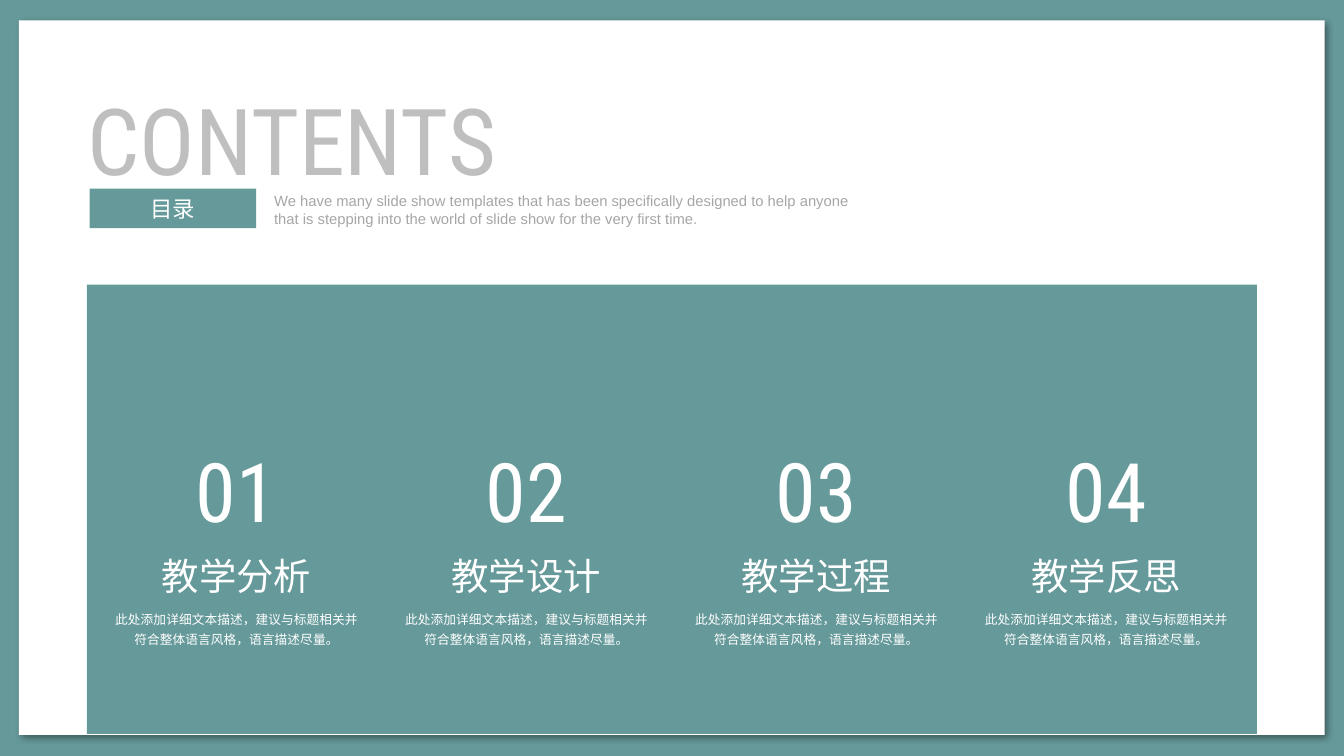
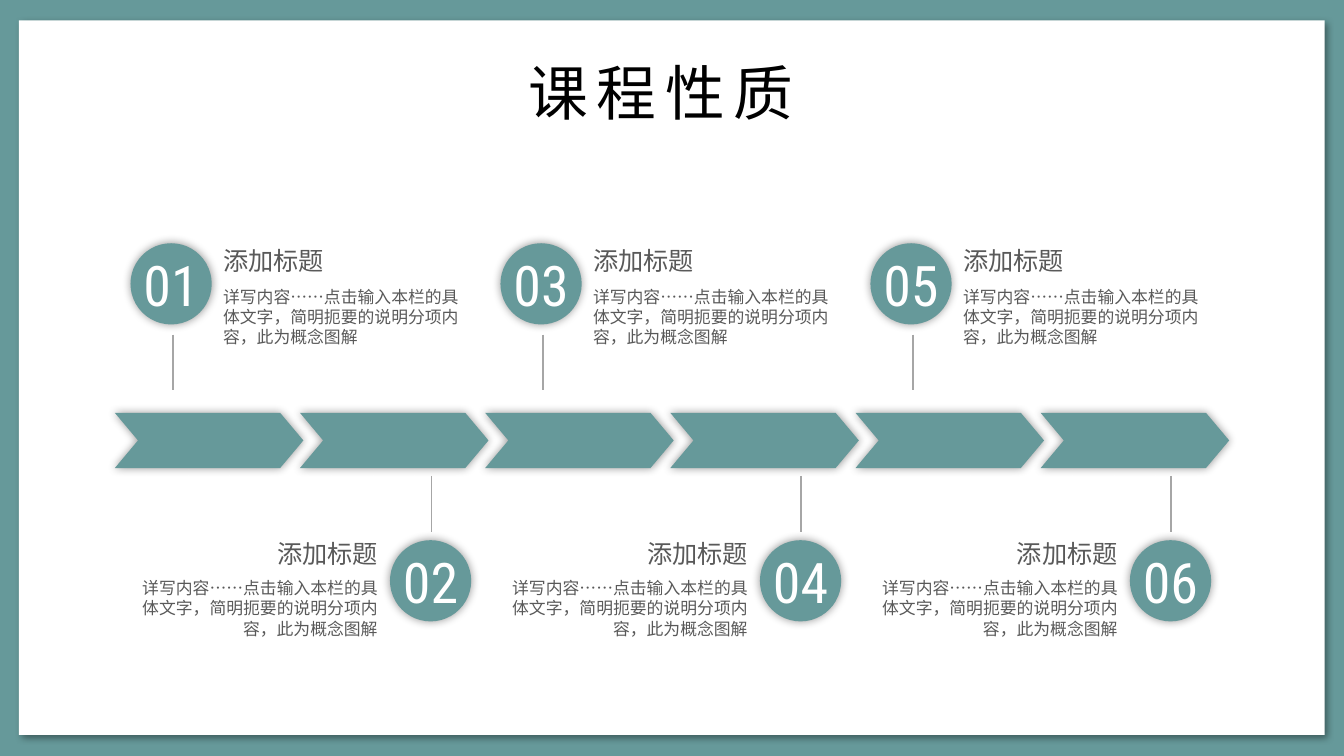
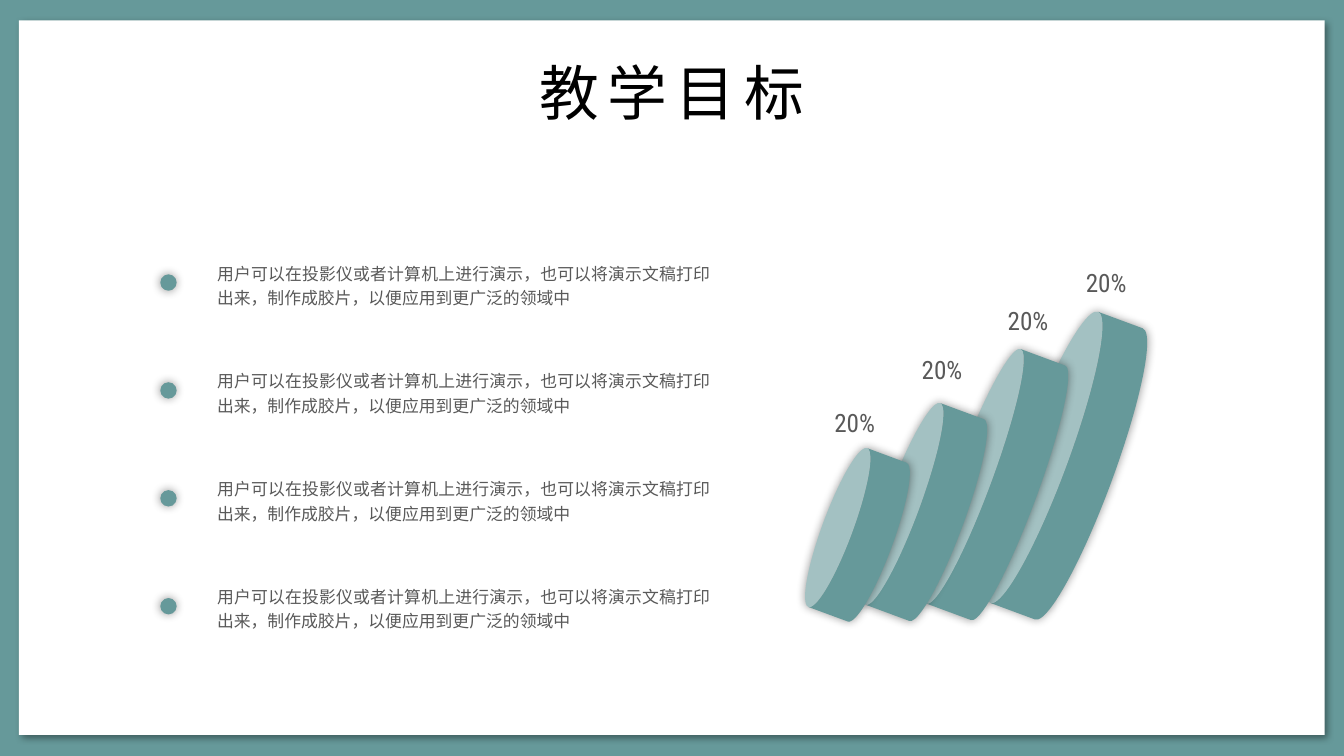
"""Build three teaching slides: contents, course timeline and teaching goals."""
from dataclasses import dataclass
from typing import Any

import lxml.etree
import pptx
import pptx.dml.color
import pptx.enum.shapes
import pptx.enum.text
import pptx.oxml.ns
import pptx.util

Pt = pptx.util.Pt
qn = pptx.oxml.ns.qn
SHAPE = pptx.enum.shapes.MSO_SHAPE
ALIGN = pptx.enum.text.PP_ALIGN
ANCHOR = pptx.enum.text.MSO_ANCHOR
AUTO = pptx.enum.text.MSO_AUTO_SIZE

COLORS = {
    "teal": "66999A",
    "white": "FFFFFF",
    "black": "000000",
    "text": "595959",
    "muted": "A6A6A6",
    "pale": "BFBFBF",
}
CJK = "Noto Sans CJK SC"
ROBOTO = "Roboto Condensed"
DEFAULT_INSETS = (7.2, 3.6, 7.2, 3.6)
NO_INSETS = (0, 0, 0, 0)


@dataclass(frozen=True)
class Box:
    """A place on the slide, in points."""
    left: float
    top: float
    width: float
    height: float

    def emu(self) -> tuple:
        return Pt(self.left), Pt(self.top), Pt(self.width), Pt(self.height)


@dataclass(frozen=True)
class Shadow:
    """An outer shadow with lengths in points and angle in degrees."""
    blur: float
    distance: float
    angle: float


@dataclass(frozen=True)
class Side:
    """The layout of the timeline notes on one side of the arrows."""
    first: int
    circle: tuple[float, float]
    text_left: float
    heading_top: float
    body_top: float
    line_x: float
    line_top: float
    align: Any


@dataclass(frozen=True)
class Disc:
    """A tilted can and the position of its percentage."""
    box: Box
    depth: float
    label_left: float
    label_top: float


GLOW = Shadow(5, 0, 0)
DROP = Shadow(4, 3, 45)

SECTIONS = ["教学分析", "教学设计", "教学过程", "教学反思"]
SECTION_NOTE = "此处添加详细文本描述，建议与标题相关并符合整体语言风格，语言描述尽量。"
BLURB = ("We have many slide show templates that has been specifically designed to help "
         "anyone that is stepping into the world of slide show for the very first time.")
STEP_NOTE = "详写内容……点击输入本栏的具体文字，简明扼要的说明分项内容，此为概念图解"
GOAL = "用户可以在投影仪或者计算机上进行演示，也可以将演示文稿打印出来，制作成胶片，以便应用到更广泛的领域中"

SIDES = [
    Side(1, (69.9, 130.3), 119.5, 128.2, 153.4, 92.8, 179.3, ALIGN.LEFT),
    Side(2, (208.9, 289.4), 71.2, 285.1, 309.6, 231, 255, ALIGN.RIGHT),
]
DISCS = [
    Disc(Box(488.2, 223.9, 166.3, 51.1), 0.5, 574.6, 139.7),
    Disc(Box(460.8, 236.9, 145.4, 45.4), 0.44, 532.8, 159.8),
    Disc(Box(437.8, 252.7, 115.2, 43.2), 0.42, 486.7, 186.5),
    Disc(Box(414, 267.1, 90.7, 38.9), 0.42, 439.9, 214.6),
]


def rgb(name: str) -> Any:
    """Return the named colour."""
    return pptx.dml.color.RGBColor.from_string(COLORS[name])


def write(tf: Any, text: str, *, size: float, font: str = CJK, color: str = "text",
          align: Any = ALIGN.LEFT, anchor: Any = ANCHOR.TOP, insets: tuple = DEFAULT_INSETS,
          wrap: bool = True, grow: bool = False, leading: float | None = None,
          tracking: float = 0) -> None:
    """Write one formatted paragraph into a text frame."""
    tf.auto_size = AUTO.SHAPE_TO_FIT_TEXT if grow else AUTO.NONE
    tf.word_wrap = wrap
    tf.vertical_anchor = anchor
    tf.margin_left, tf.margin_top, tf.margin_right, tf.margin_bottom = map(Pt, insets)
    p = tf.paragraphs[0]
    p.alignment = align
    if leading:
        p.line_spacing = leading
    r = p.add_run()
    r.text = text
    r.font.size = Pt(size)
    r.font.name = font
    r.font.color.rgb = rgb(color)
    props = r.font._element
    lxml.etree.SubElement(props, qn("a:ea")).set("typeface", font)
    if tracking:
        props.set("spc", str(round(tracking * 100)))


def add_text(shapes: Any, box: Box, text: str, **fmt: Any) -> None:
    """Add a text box."""
    write(shapes.add_textbox(*box.emu()).text_frame, text, **fmt)


def add_figure(shapes: Any, kind: Any, box: Box, color: str = "teal",
               shadow: Shadow | None = None, adjust: float | None = None) -> Any:
    """Add a filled preset shape without outline."""
    sp = shapes.add_shape(kind, *box.emu())
    sp.fill.solid()
    sp.fill.fore_color.rgb = rgb(color)
    sp.line.fill.background()
    sp.shadow.inherit = False
    if adjust is not None:
        sp.adjustments[0] = adjust
    if shadow:
        effects = sp._element.spPr.find(qn("a:effectLst"))
        outer = lxml.etree.SubElement(effects, qn("a:outerShdw"))
        outer.set("blurRad", str(Pt(shadow.blur)))
        outer.set("dist", str(Pt(shadow.distance)))
        outer.set("dir", str(round(shadow.angle * 60000)))
        outer.set("algn", "ctr")
        outer.set("rotWithShape", "0")
        tint = lxml.etree.SubElement(outer, qn("a:srgbClr"))
        tint.set("val", COLORS["black"])
        lxml.etree.SubElement(tint, qn("a:alpha")).set("val", "40000")
    return sp


def add_rule(shapes: Any, x: float, top: float, length: float) -> None:
    """Add a thin vertical line."""
    line = shapes.add_connector(pptx.enum.shapes.MSO_CONNECTOR.STRAIGHT,
                                Pt(x), Pt(top), Pt(x), Pt(top + length))
    line.line.color.rgb = rgb("muted")
    line.line.width = Pt(0.75)
    lxml.etree.SubElement(line._element.spPr, qn("a:effectLst"))


def add_slide(prs: Any, title: str, box: Box = Box(192.2, 26.6, 335.5, 45.4),
              **fmt: Any) -> Any:
    """Add a title-only slide with a formatted title."""
    s = prs.slides.add_slide(prs.slide_layouts[5])
    sp = s.shapes.title
    sp.left, sp.top, sp.width, sp.height = box.emu()
    style = dict(size=32, color="black", align=ALIGN.CENTER, insets=(6.5, 3.2, 6.5, 3.2),
                 grow=True, tracking=4.5)
    write(sp.text_frame, title, **(style | fmt))
    return s


def style_master(prs: Any, s: Any) -> None:
    """Give the master its teal background and white sheet."""
    master = prs.slide_master
    master.background.fill.solid()
    master.background.fill.fore_color.rgb = rgb("teal")
    sheet = add_figure(s.shapes, SHAPE.RECTANGLE, Box(10.1, 11, 699.5, 382.8), "white", DROP)
    master.shapes._spTree.insert(2, sheet._element)


def contents_slide(prs: Any) -> Any:
    """Build the contents slide."""
    s = add_slide(prs, "CONTENTS", Box(39.6, 41, 244, 67), size=49.5, font=ROBOTO,
                  color="pale", align=ALIGN.LEFT, insets=DEFAULT_INSETS, tracking=0)
    add_figure(s.shapes, SHAPE.RECTANGLE, Box(46.6, 152.5, 626.8, 240.7))
    centred = dict(color="white", align=ALIGN.CENTER, grow=True)
    for i, section in enumerate(SECTIONS):
        center = 126.7 + 155.3 * i
        add_text(s.shapes, Box(center - 46.8, 232.6, 93.6, 60.5), f"{i + 1:02}",
                 size=44, font=ROBOTO, **centred)
        add_text(s.shapes, Box(center - 47.5, 293, 95, 31.7), section,
                 size=20, wrap=False, **centred)
        add_text(s.shapes, Box(center - 73.4, 321.8, 146.8, 28.8), SECTION_NOTE,
                 size=6.8, leading=1.3, **centred)
    tag = add_figure(s.shapes, SHAPE.RECTANGLE, Box(48, 101, 89.2, 21.3))
    write(tag.text_frame, "目录", size=12, color="white", align=ALIGN.CENTER,
          anchor=ANCHOR.MIDDLE)
    add_text(s.shapes, Box(146.9, 103, 319.7, 19.4), BLURB, size=7.9, font="Arial",
             color="muted", insets=NO_INSETS, grow=True)
    return s


def timeline_slide(prs: Any) -> None:
    """Build the timeline with notes above and below the arrows."""
    s = add_slide(prs, "课程性质 ")
    for i in range(6):
        add_figure(s.shapes, SHAPE.CHEVRON, Box(61.5 + 99.2 * i, 221.2, 101, 29.6),
                   shadow=GLOW, adjust=0.42)
    for side in SIDES:
        for i in range(3):
            shift = 198.2 * i
            left, top = side.circle
            circle = add_figure(s.shapes, SHAPE.OVAL, Box(left + shift, top, 43.5, 43.5),
                                shadow=GLOW)
            write(circle.text_frame, f"{side.first + 2 * i:02}", size=30, font=ROBOTO,
                  color="white", align=ALIGN.CENTER, anchor=ANCHOR.MIDDLE,
                  insets=NO_INSETS, wrap=False)
            note = s.shapes.add_group_shape().shapes
            x = side.text_left + shift
            add_text(note, Box(x, side.heading_top, 131, 23), "添加标题", size=13.5,
                     align=side.align, insets=NO_INSETS, leading=1.2)
            add_text(note, Box(x, side.body_top, 131, 39.6), STEP_NOTE, size=9,
                     align=side.align, insets=NO_INSETS)
            add_rule(s.shapes, side.line_x + shift, side.line_top, 29.8)


def goals_slide(prs: Any) -> None:
    """Build the goals list beside the tilted discs."""
    s = add_slide(prs, "教学目标")
    for disc in DISCS:
        can = add_figure(s.shapes, SHAPE.CAN, disc.box, shadow=GLOW, adjust=disc.depth)
        can.rotation = 290.3
        can._element.spPr.xfrm.set("flipH", "1")
    for disc in reversed(DISCS):
        add_text(s.shapes, Box(disc.label_left, disc.label_top, 38.2, 21.6), "20%",
                 size=13.5, font=ROBOTO, wrap=False)
    for i in range(4):
        goal = s.shapes.add_group_shape().shapes
        shift = 57.8 * i
        add_figure(goal, SHAPE.OVAL, Box(85.9, 147 + shift, 8.8, 8.8), shadow=GLOW)
        add_text(goal, Box(109.2, 135.3 + shift, 278, 33.3), GOAL, size=9,
                 align=ALIGN.JUSTIFY, leading=1.2, grow=True)


def main() -> None:
    """Build and save the presentation."""
    prs = pptx.Presentation()
    prs.slide_width, prs.slide_height = Pt(720), Pt(405)
    style_master(prs, contents_slide(prs))
    timeline_slide(prs)
    goals_slide(prs)
    prs.save("out.pptx")


if __name__ == "__main__":
    main()
